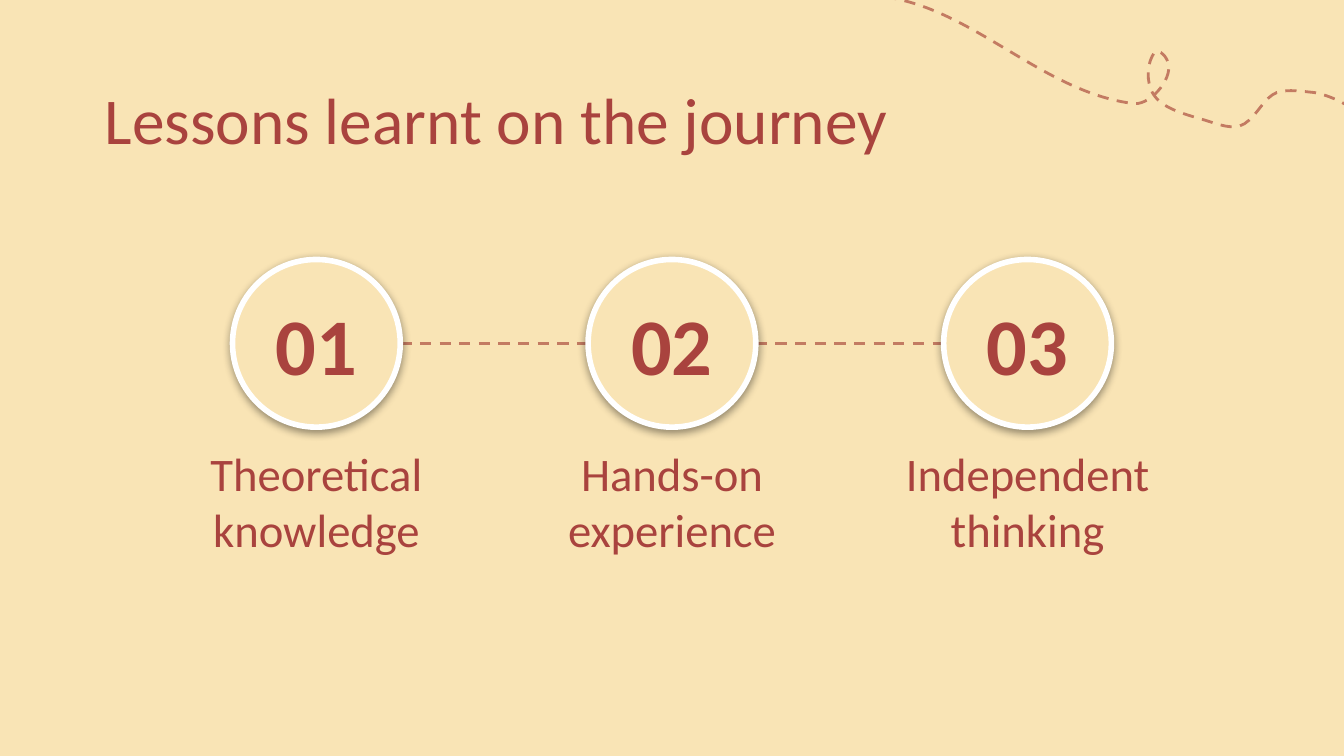
"""Build a slide with three numbered lessons joined by a dashed trail."""
from lxml.etree import SubElement
from pptx import Presentation
from pptx.dml.color import RGBColor
from pptx.enum.dml import MSO_LINE
from pptx.enum.shapes import MSO_CONNECTOR, MSO_SHAPE
from pptx.enum.text import MSO_ANCHOR, PP_ALIGN
from pptx.oxml.ns import qn
from pptx.util import Cm, Pt

TITLE = "Lessons learnt on the journey"
LESSONS = [
    ("01", "Theoretical knowledge"),
    ("02", "Hands-on experience"),
    ("03", "Independent thinking"),
]
TRAIL_START = (16.36, -0.08)
TRAIL_CURVES = [
    ((18.19, -0.08), (19.61, 1.75), (21.44, 1.96)),
    ((21.77, 1.98), (22.23, 1.42), (22.05, 1.12)),
    ((22.02, 1.04), (21.87, 0.91), (21.82, 0.99)),
    ((21.69, 1.17), (21.67, 1.45), (21.74, 1.65)),
    ((21.84, 2.01), (22.3, 2.13), (22.66, 2.24)),
    ((22.94, 2.31), (23.29, 2.49), (23.52, 2.34)),
    ((23.77, 2.18), (23.88, 1.85), (24.13, 1.75)),
    ((24.36, 1.68), (24.61, 1.73), (24.84, 1.75)),
    ((25.25, 1.83), (25.63, 2.06), (25.91, 2.36)),
    ((26.26, 2.74), (26.21, 3.33), (26.37, 3.84)),
]

SAND = RGBColor(0xF9, 0xE4, 0xB5)
BRICK = RGBColor(0xA9, 0x43, 0x3E)
CLAY = RGBColor(0xC3, 0x7B, 0x62)
WHITE = RGBColor(0xFF, 0xFF, 0xFF)
FONT = "Calibri"

SLIDE_WIDTH, SLIDE_HEIGHT = 25.4, 14.29
PITCH = 6.72
DIAMETER = 3.17
CIRCLE_Y, LABEL_Y = 6.49, 9.46
INSET = Cm(0.25)


def write_text(shape, text, size, anchor, alignment, bold=False):
    frame = shape.text_frame
    frame.word_wrap = True
    frame.vertical_anchor = anchor
    frame.margin_left = frame.margin_right = INSET
    frame.margin_top = frame.margin_bottom = INSET
    paragraph = frame.paragraphs[0]
    paragraph.alignment = alignment
    run = paragraph.add_run()
    run.text = text
    run.font.name = FONT
    run.font.size = Pt(size)
    run.font.bold = bold
    run.font.color.rgb = BRICK


def centred_box(x, y, width, height):
    return Cm(x - width / 2), Cm(y - height / 2), Cm(width), Cm(height)


def add_centred_text(slide, text, box, size, bold=False):
    shape = slide.shapes.add_textbox(*box)
    write_text(shape, text, size, MSO_ANCHOR.MIDDLE, PP_ALIGN.CENTER, bold)


def style_dashes(line):
    line.color.rgb = CLAY
    line.width = Pt(1.5)
    line.dash_style = MSO_LINE.DASH


def add_trail(slide):
    start_x, start_y = TRAIL_START
    builder = slide.shapes.build_freeform(Cm(start_x), Cm(start_y))
    points = [(Cm(x), Cm(y)) for curve in TRAIL_CURVES for x, y in curve]
    builder.add_line_segments(points, close=False)
    trail = builder.convert_to_shape()
    outline = next(trail._element.iter(qn("a:path")))
    segments = outline.findall(qn("a:lnTo"))
    for index in range(0, len(segments), 3):
        curve = SubElement(outline, qn("a:cubicBezTo"))
        for segment in segments[index:index + 3]:
            curve.append(segment[0])
            outline.remove(segment)
    trail.fill.background()
    style_dashes(trail.line)
    trail.shadow.inherit = False


def add_link(slide, left, right):
    link = slide.shapes.add_connector(
        MSO_CONNECTOR.STRAIGHT, Cm(left), Cm(CIRCLE_Y), Cm(right), Cm(CIRCLE_Y))
    style_dashes(link.line)
    SubElement(link._element.spPr, qn("a:effectLst"))


def add_circle(slide, x):
    circle = slide.shapes.add_shape(
        MSO_SHAPE.OVAL, *centred_box(x, CIRCLE_Y, DIAMETER, DIAMETER))
    circle.fill.solid()
    circle.fill.fore_color.rgb = SAND
    circle.line.color.rgb = WHITE
    circle.line.width = Pt(3)
    circle.shadow.inherit = False
    effects = circle._element.spPr.find(qn("a:effectLst"))
    shadow = SubElement(effects, qn("a:outerShdw"), blurRad=str(Pt(4.5)),
                        dist=str(Pt(1.5)), dir="5400000", rotWithShape="0")
    color = SubElement(shadow, qn("a:srgbClr"), val="000000")
    SubElement(color, qn("a:alpha"), val="40000")


def main():
    presentation = Presentation()
    presentation.slide_width = Cm(SLIDE_WIDTH)
    presentation.slide_height = Cm(SLIDE_HEIGHT)
    slide = presentation.slides.add_slide(presentation.slide_layouts[5])
    slide.background.fill.solid()
    slide.background.fill.fore_color.rgb = SAND

    add_trail(slide)
    title = slide.shapes.title
    title.left, title.top = Cm(1.73), Cm(1.24)
    title.width, title.height = Cm(21.95), Cm(1.6)
    write_text(title, TITLE, 35, MSO_ANCHOR.TOP, PP_ALIGN.LEFT)

    middle = (len(LESSONS) - 1) / 2
    centres = [SLIDE_WIDTH / 2 + (index - middle) * PITCH
               for index in range(len(LESSONS))]
    for left, right in zip(centres, centres[1:]):
        add_link(slide, left + DIAMETER / 2, right - DIAMETER / 2)
    for x, (number, label) in zip(centres, LESSONS):
        add_circle(slide, x)
        add_centred_text(slide, number, centred_box(x, CIRCLE_Y, 2.9, 1.63), 43, True)
        add_centred_text(slide, label, centred_box(x, LABEL_Y, 6.22, 0.99), 25)

    presentation.save("out.pptx")


if __name__ == "__main__":
    main()
